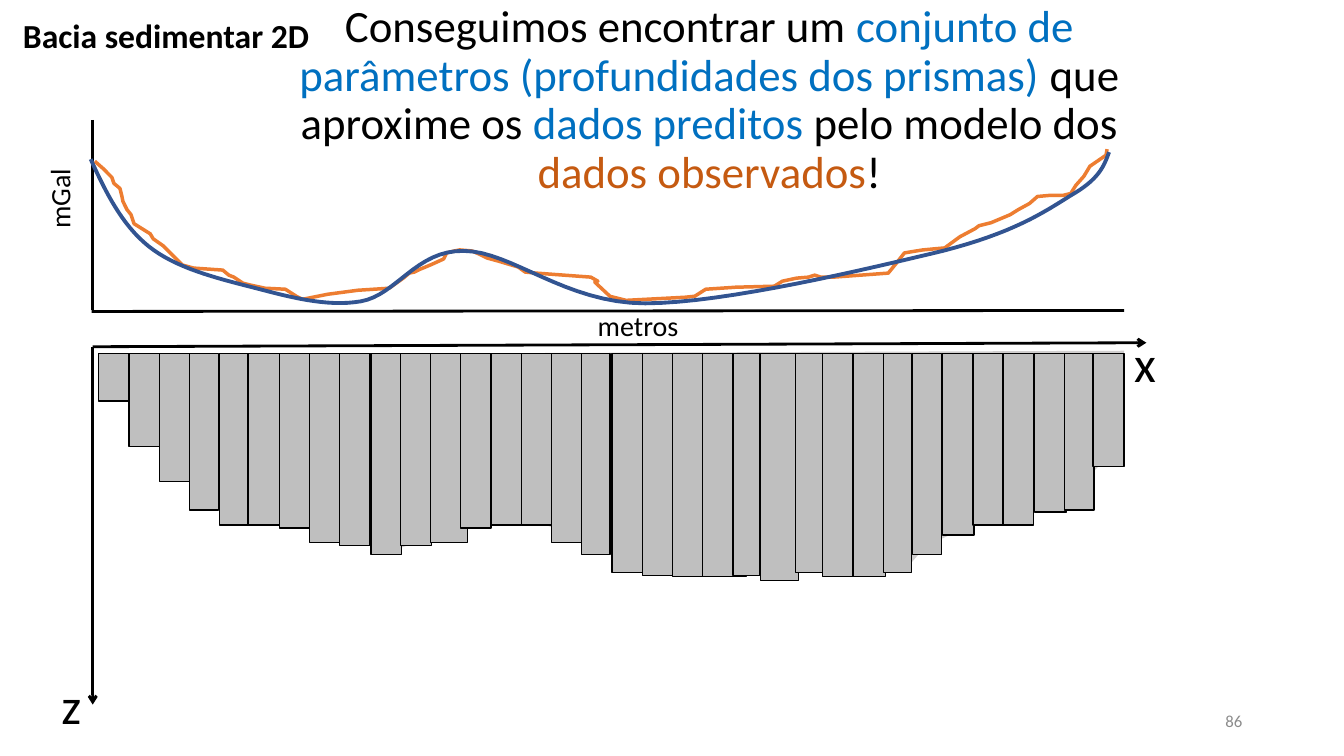
from lxml import etree
from pptx import Presentation
from pptx.dml.color import RGBColor
from pptx.enum.shapes import MSO_CONNECTOR, MSO_SHAPE
from pptx.enum.text import MSO_ANCHOR, MSO_AUTO_SIZE, PP_ALIGN
from pptx.oxml.ns import qn
from pptx.util import Inches, Pt

STRAIGHT, RECT = MSO_CONNECTOR.STRAIGHT, MSO_SHAPE.RECTANGLE
TOP, MIDDLE = MSO_ANCHOR.TOP, MSO_ANCHOR.MIDDLE
LEFT, CENTER, RIGHT = PP_ALIGN.LEFT, PP_ALIGN.CENTER, PP_ALIGN.RIGHT
COLORS = {
    "black": "000000", "number": "8C8C8C", "basin": "D0CECE", "prism": "BFBFBF",
    "observed": "ED7D31", "predicted": "325491",
    "blue_text": "0070C0", "orange_text": "C55A11",
}
FONT = "Calibri"
BEZIER_STEPS = 16
PRISM_TOP = 3.51


def rgb(name):
    return RGBColor.from_string(COLORS[name])


def add_path(points, closed=False):
    """Add a freeform through points given in inches."""
    pts = [(Inches(x), Inches(y)) for x, y in points]
    builder = s.shapes.build_freeform(*pts[0])
    builder.add_line_segments(pts[1:], close=closed)
    sp = builder.convert_to_shape()
    sp.shadow.inherit = False
    return sp


prs = Presentation()
prs.slide_width, prs.slide_height = Inches(13.33), Inches(7.5)
s = prs.slides.add_slide(prs.slide_layouts[5])

# Title
title = s.shapes.title
title.left, title.top = Inches(2.77), Inches(-0.01)
title.width, title.height = Inches(8.53), Inches(2.16)
tf = title.text_frame
tf.word_wrap, tf.auto_size, tf.vertical_anchor = True, MSO_AUTO_SIZE.NONE, TOP
p = tf.paragraphs[0]
p.alignment, p.line_spacing = CENTER, 0.9
for text, color in [
    ("Conseguimos encontrar um ", "black"),
    ("conjunto de parâmetros (profundidades dos prismas) ", "blue_text"),
    ("que aproxime os ", "black"),
    ("dados preditos", "blue_text"),
    (" pelo modelo dos ", "black"),
    ("dados observados", "orange_text"),
    ("!", "black"),
]:
    r = p.add_run()
    r.text = text
    r.font.name, r.font.size = FONT, Pt(32)
    r.font.color.rgb = rgb(color)

# Axes of the depth section and of the gravity plot
for x1, y1, x2, y2, arrow in [
    (0.92, 3.44, 0.92, 6.99, True),
    (0.92, 3.44, 11.37, 3.4, True),
    (0.92, 1.19, 0.92, 3.08, False),
    (11.15, 3.08, 0.91, 3.09, False),
]:
    axis = s.shapes.add_connector(STRAIGHT, Inches(x1), Inches(y1), Inches(x2), Inches(y2))
    axis.line.color.rgb, axis.line.width = rgb("black"), Pt(2)
    if arrow:
        etree.SubElement(axis.line._get_or_add_ln(), qn("a:tailEnd"), type="arrow")
    etree.SubElement(axis._element.spPr, qn("a:effectLst"))

# Labels: text, left, top, width, height, format
for text, x, y, w, h, fmt in [
    ("z", 0.51, 6.64, 0.4, 0.71, {"size": 36}),
    ("x", 11.15, 3.25, 0.43, 0.71, {"size": 36}),
    ("Bacia sedimentar 2D", 0.13, 0.1, 3.46, 0.5, {"size": 24, "bold": True, "wrap": True}),
    ("mGal", 0.37, 1.67, 0.54, 0.7, {"size": 20, "vert": "vert270"}),
    ("metros", 5.83, 3.01, 1.01, 0.44, {"size": 20}),
    ("86", 9.42, 6.95, 3, 0.4, {"size": 12, "color": "number", "align": RIGHT,
                                "anchor": MIDDLE, "wrap": True}),
]:
    label = s.shapes.add_textbox(Inches(x), Inches(y), Inches(w), Inches(h))
    tf = label.text_frame
    tf.word_wrap = fmt.get("wrap", False)
    tf.vertical_anchor = fmt.get("anchor", TOP)
    if "vert" in fmt:
        tf._txBody.bodyPr.set("vert", fmt["vert"])
    p = tf.paragraphs[0]
    p.alignment = fmt.get("align", LEFT)
    r = p.add_run()
    r.text = text
    r.font.name, r.font.size = FONT, Pt(fmt["size"])
    r.font.bold = fmt.get("bold", False)
    r.font.color.rgb = rgb(fmt.get("color", "black"))

# Basin outline behind the prisms
basin = add_path([
    (0.98, 3.52), (1.45, 4.27), (2.08, 4.97), (3.86, 5.47), (5.11, 5.08),
    (6.55, 5.68), (8.26, 5.68), (8.99, 5.64), (9.18, 5.42), (9.76, 5.15),
    (10.03, 5.15), (10.57, 4.97), (10.95, 4.57), (11.15, 3.48),
], closed=True)
basin.fill.solid()
basin.fill.fore_color.rgb = rgb("basin")
basin.line.fill.background()

# Gravity curves: observed is a noisy polyline, predicted a smooth Bézier chain
observed = [
    (0.94, 1.6), (1.02, 1.67), (1.11, 1.76), (1.13, 1.82), (1.19, 1.87), (1.21, 1.95),
    (1.22, 2), (1.26, 2.08), (1.3, 2.13), (1.33, 2.22), (1.49, 2.32), (1.52, 2.37),
    (1.62, 2.44), (1.7, 2.52), (1.81, 2.63), (1.92, 2.66), (2.21, 2.68), (2.27, 2.73),
    (2.32, 2.75), (2.41, 2.81), (2.49, 2.83), (2.63, 2.86), (2.83, 2.87), (2.94, 2.94),
    (3, 2.97), (3.25, 2.92), (3.55, 2.88), (3.86, 2.86), (4, 2.76), (4.06, 2.71),
    (4.11, 2.7), (4.17, 2.67), (4.22, 2.65), (4.29, 2.62), (4.4, 2.57), (4.43, 2.51),
    (4.51, 2.49), (4.56, 2.48), (4.68, 2.49), (4.75, 2.52), (4.83, 2.56), (4.94, 2.59),
    (5.14, 2.65), (5.21, 2.7), (5.32, 2.71), (5.86, 2.75), (5.93, 2.79), (5.9, 2.8),
    (6.05, 2.94), (6.21, 2.98), (6.79, 2.95), (6.89, 2.94), (7, 2.87), (7.3, 2.85),
    (7.68, 2.84), (7.76, 2.79), (7.9, 2.76), (8.02, 2.75), (8.08, 2.73), (8.14, 2.75),
    (8.27, 2.75), (8.81, 2.71), (8.9, 2.6), (8.97, 2.51), (9.15, 2.48), (9.37, 2.46),
    (9.52, 2.35), (9.67, 2.27), (9.71, 2.24), (9.83, 2.21), (10.02, 2.13), (10.1, 2.08),
    (10.21, 2.02), (10.29, 1.95), (10.4, 1.94), (10.54, 1.94), (10.62, 1.92),
    (10.67, 1.84), (10.75, 1.75), (10.81, 1.65), (10.97, 1.54), (10.98, 1.48),
]
controls = [
    (0.9, 1.58), (1.05, 1.91), (1.21, 2.23), (1.47, 2.44), (1.74, 2.66), (2.15, 2.76),
    (2.5, 2.85), (2.85, 2.94), (3.23, 3.05), (3.58, 2.99), (3.93, 2.93), (4.13, 2.48),
    (4.6, 2.49), (5.07, 2.49), (5.61, 3.01), (6.4, 3.01), (7.19, 3.01), (8.64, 2.66),
    (9.35, 2.49), (10.05, 2.31), (10.35, 2.11), (10.62, 1.94), (10.9, 1.78),
    (10.95, 1.65), (11, 1.51),
]
predicted = controls[:1]
for i in range(0, len(controls) - 1, 3):
    for step in range(1, BEZIER_STEPS + 1):
        t = step / BEZIER_STEPS
        weights = ((1 - t) ** 3, 3 * t * (1 - t) ** 2, 3 * t * t * (1 - t), t ** 3)
        predicted.append(tuple(
            sum(k * pt[axis] for k, pt in zip(weights, controls[i:i + 4]))
            for axis in (0, 1)))
for points, color, width in [(observed, "observed", 2.5), (predicted, "predicted", 2.75)]:
    curve = add_path(points)
    curve.fill.background()
    curve.line.color.rgb, curve.line.width = rgb(color), Pt(width)

# Prisms: left, width, depth
for x, w, depth in [
    (0.98, 0.3, 0.47), (1.28, 0.3, 0.92), (1.58, 0.37, 1.27), (1.88, 0.29, 1.55),
    (2.18, 0.28, 1.7), (2.46, 0.36, 1.7), (2.77, 0.36, 1.73), (3.07, 0.35, 1.87),
    (3.37, 0.3, 1.9), (3.68, 0.3, 1.99), (3.97, 0.31, 1.9), (4.27, 0.37, 1.87),
    (4.57, 0.3, 1.73), (4.87, 0.36, 1.7), (5.17, 0.3, 1.7), (5.47, 0.37, 1.87),
    (5.77, 0.28, 1.99), (6.07, 0.31, 2.17), (6.37, 0.37, 2.2), (6.67, 0.37, 2.21),
    (6.97, 0.43, 2.21), (7.27, 0.27, 2.2), (7.54, 0.38, 2.25), (7.89, 0.37, 2.17),
    (8.16, 0.32, 2.21), (8.46, 0.32, 2.21), (8.76, 0.28, 2.17), (9.05, 0.29, 1.99),
    (9.35, 0.31, 1.8), (9.65, 0.3, 1.7), (9.95, 0.3, 1.7), (10.26, 0.32, 1.57),
    (10.56, 0.29, 1.55), (10.84, 0.31, 1.12),
]:
    prism = s.shapes.add_shape(RECT, Inches(x), Inches(PRISM_TOP), Inches(w), Inches(depth))
    prism.shadow.inherit = False
    prism.fill.solid()
    prism.fill.fore_color.rgb = rgb("prism")
    prism.line.color.rgb, prism.line.width = rgb("black"), Pt(1)

prs.save("out.pptx")
